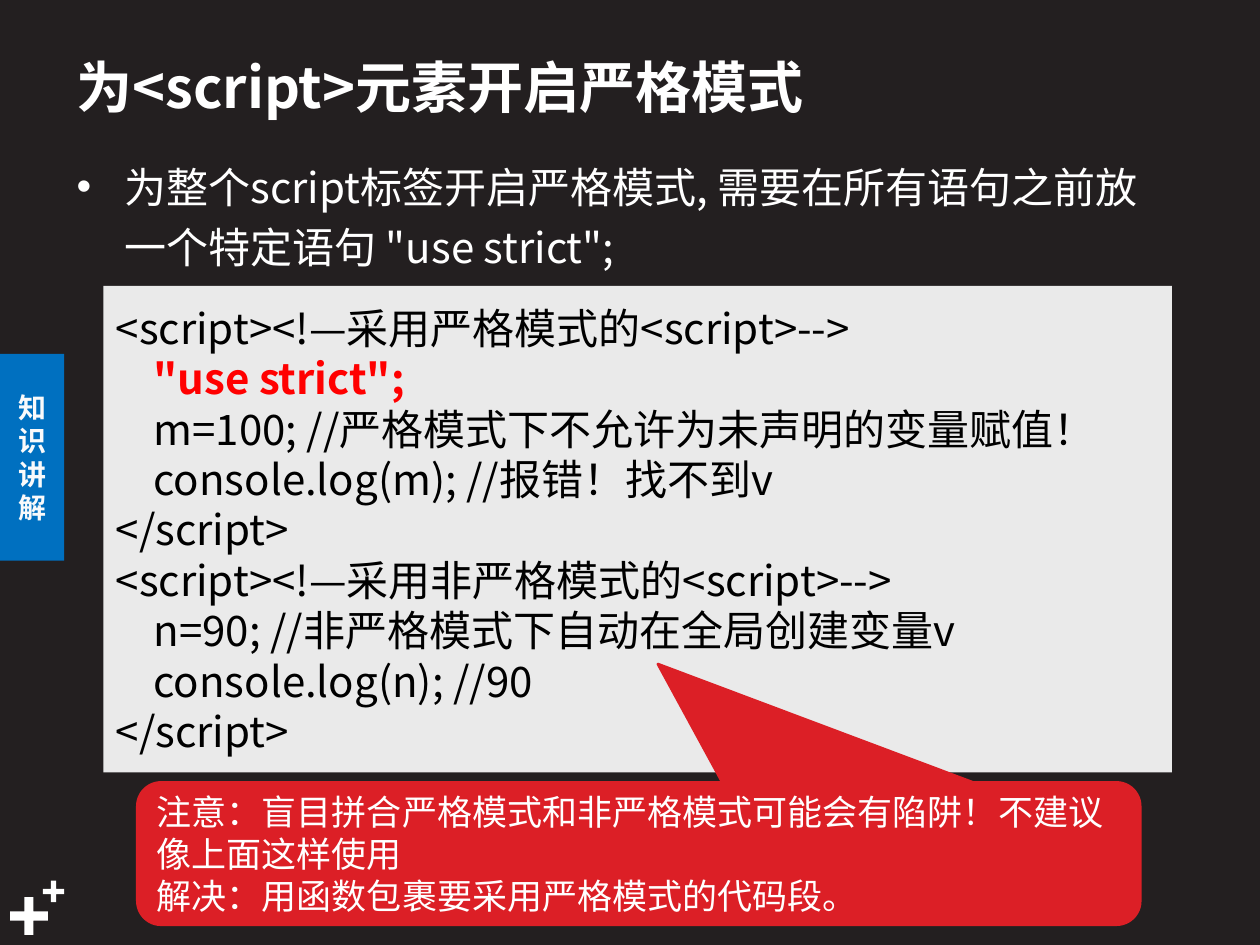
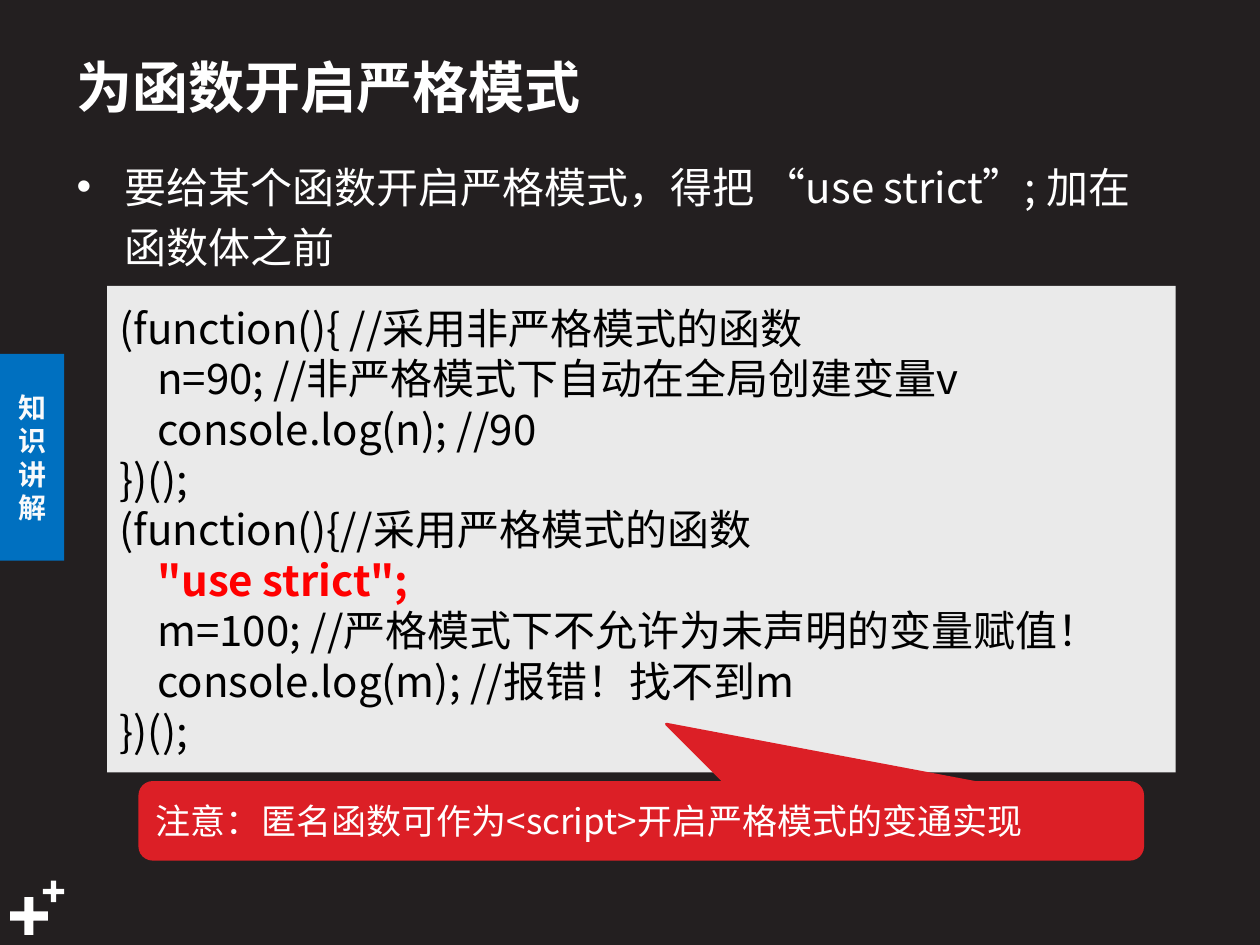
from lxml import etree
from pptx import Presentation, util as u
from pptx.dml.color import RGBColor
from pptx.enum import shapes, text
from pptx.oxml.ns import qn

COLS, ROWS = 100, 75
FONT = "Noto Sans CJK SC"
DARK, WHITE, PALE, BLACK = "231F20", "FFFFFF", "EAEAEA", "000000"
BLUE, RED, ALERT, TAB_TEXT = "0070C0", "DC1F26", "FF0000", "F9FAFB"
KIND = shapes.MSO_SHAPE


def rgb(value):
    return RGBColor.from_string(value)


class Deck:
    """Holds the style and the slide being built."""

    def __init__(self):
        self.prs = Presentation()
        self.prs.slide_width, self.prs.slide_height = u.Inches(10), u.Inches(7.5)
        self.col = self.prs.slide_width / COLS
        self.row = self.prs.slide_height / ROWS
        self.s = None

    def place(self, x, y, w, h):
        return [int(n) for n in (x * self.col, y * self.row, w * self.col, h * self.row)]

    def shape(self, kind, box, fill, adjust=(), line=None):
        sp = self.s.shapes.add_shape(kind, *self.place(*box))
        sp.shadow.inherit = False
        sp.fill.solid()
        sp.fill.fore_color.rgb = rgb(fill)
        for i, value in enumerate(adjust):
            sp.adjustments[i] = value
        if line:
            sp.line.color.rgb = rgb(line)
            sp.line.width = u.Pt(1.5)
        else:
            sp.line.fill.background()
        return sp

    def set_text(self, sp, lines, size, color, bold=False, align="LEFT", anchor="MIDDLE"):
        """Set one paragraph per line and return the paragraphs."""
        tf = sp.text_frame
        tf.word_wrap = True
        tf.vertical_anchor = getattr(text.MSO_ANCHOR, anchor)
        for i, line in enumerate(lines):
            p = tf.paragraphs[0] if i == 0 else tf.add_paragraph()
            p.alignment = getattr(text.PP_ALIGN, align)
            r = p.add_run()
            r.text = line
            for key, value in dict(size=u.Pt(size), bold=bold, name=FONT).items():
                setattr(r.font, key, value)
            r.font.color.rgb = rgb(color)
            etree.SubElement(r._r.get_or_add_rPr(), qn("a:ea"), typeface=FONT)
        return tf.paragraphs

    def text_box(self, box, *args, **fmt):
        sp = self.s.shapes.add_textbox(*self.place(*box))
        return self.set_text(sp, *args, **fmt)

    def indent(self, p, left, first=0):
        pPr = p._p.get_or_add_pPr()
        pPr.set("marL", str(int(left * self.col)))
        pPr.set("indent", str(int(first * self.col)))
        return pPr

    def new_slide(self, title):
        self.s = self.prs.slides.add_slide(self.prs.slide_layouts[6])
        self.s.background.fill.solid()
        self.s.background.fill.fore_color.rgb = rgb(DARK)
        # Corner crosses and side tab
        for x, y, size in ((0.8, 71.2, 3), (3.4, 69.9, 1.7)):
            self.shape(KIND.CROSS, (x, y, size, size), WHITE, [0.378])
        tab = self.shape(KIND.RECTANGLE, (0, 28.1, 5.1, 16.4), BLUE)
        self.set_text(tab, ["知识讲解"], 16, TAB_TEXT, bold=True, align="CENTER")
        self.text_box((5.1, 2.9, 74, 7.8), [title], 32, WHITE, bold=True)

    def bullet(self, line):
        p = self.text_box((5.1, 11.5, 88.2, 10.3), [line], 24, WHITE, anchor="TOP")[0]
        p.line_spacing, p.space_before = 1.2, u.Pt(4.8)
        pPr = self.indent(p, 3.8, -3.8)
        etree.SubElement(pPr, qn("a:buFont"), typeface="Arial")
        etree.SubElement(pPr, qn("a:buChar"), char="•")

    def code(self, x, source):
        """Show code; a leading tab indents a line, the directive stands out."""
        lines = source.strip("\n").split("\n")
        panel = self.shape(KIND.RECTANGLE, (x, 22.7, 84.8, 38.6), PALE)
        paragraphs = self.set_text(panel, [n.strip() for n in lines], 24, BLACK)
        for p, line in zip(paragraphs, lines):
            if line.startswith("\t"):
                self.indent(p, 3)
            if "use strict" in line:
                p.runs[0].font.bold = True
                p.runs[0].font.color.rgb = rgb(ALERT)

    def callout(self, x, height, tip, lines):
        sp = self.shape(KIND.ROUNDED_RECTANGULAR_CALLOUT, (x, 62.1, 79.6, height),
                        RED, (*tip, 0.167), line=RED)
        self.set_text(sp, lines, 20, WHITE)


deck = Deck()

# Strict mode for a script element
deck.new_slide("为<script>元素开启严格模式")
deck.bullet('为整个script标签开启严格模式, 需要在所有语句之前放一个特定语句\u00a0"use strict";')
deck.code(8.2, """
<script><!—采用严格模式的<script>-->
\t"use strict";
\tm=100; //严格模式下不允许为未声明的变量赋值！
\tconsole.log(m); //报错！找不到v
</script>
<script><!—采用非严格模式的<script>-->
\tn=90; //非严格模式下自动在全局创建变量v
\tconsole.log(n); //90
</script>
""")
deck.callout(10.9, 11.3, (0.019, -1.332), [
    "注意：盲目拼合严格模式和非严格模式可能会有陷阱！不建议像上面这样使用",
    "解决：用函数包裹要采用严格模式的代码段。",
])

# Strict mode for a function
deck.new_slide("为函数开启严格模式")
deck.bullet("要给某个函数开启严格模式，得把\u00a0“use strict”;\u00a0加在函数体之前")
deck.code(8.5, """
(function(){ //采用非严格模式的函数
\tn=90; //非严格模式下自动在全局创建变量v
\tconsole.log(n); //90
})();
(function(){//采用严格模式的函数
\t"use strict";
\tm=100; //严格模式下不允许为未声明的变量赋值！
\tconsole.log(m); //报错！找不到m
})();
""")
deck.callout(11.1, 6.1, (0.025, -1.26), ["注意：匿名函数可作为<script>开启严格模式的变通实现"])

deck.prs.save("out.pptx")
